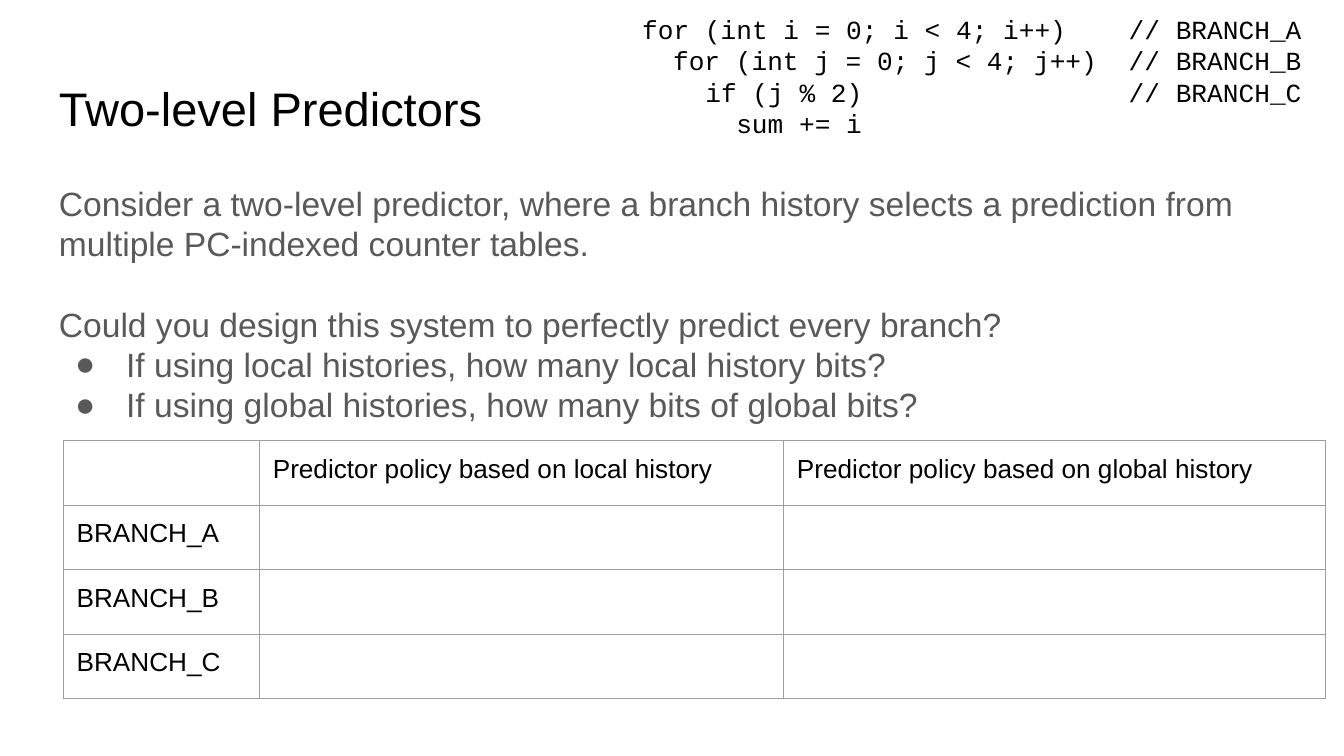
"""Build the two-level predictors slide."""
from dataclasses import dataclass

from lxml.etree import SubElement
from pptx import Presentation
from pptx.dml.color import RGBColor as RGB
from pptx.enum.text import MSO_ANCHOR as Anchor
from pptx.oxml.ns import qn
from pptx.util import Inches, Pt


@dataclass(frozen=True)
class Theme:
    sans: str = "Arial"
    mono: str = "Courier New"
    black: str = "000000"
    grey: str = "595959"
    border: str = "9E9E9E"
    title: float = 25.2
    body: float = 18
    small: float = 14
    body_line: float = 21.6
    code_line: float = 16.8
    border_width: float = 0.75
    inset: float = 0.1


@dataclass(frozen=True)
class Style:
    font: str
    size: float
    color: str
    line: float | None = None


@dataclass(frozen=True)
class Para:
    text: str
    bullet: bool = False
    before: float = 0
    tabs: tuple[float, ...] = ()


T = Theme()
TITLE = Style(T.sans, T.title, T.black)
BODY = Style(T.sans, T.body, T.grey, T.body_line)
CODE = Style(T.mono, T.small, T.black, T.code_line)
CELL = Style(T.sans, T.small, T.black)

CODE_TABS = (0.23, 0.47, 0.7, 3.62)
CODE_LINES = (
    "for (int i = 0; i < 4; i++)\t// BRANCH_A",
    "\tfor (int j = 0; j < 4; j++)\t// BRANCH_B",
    "\t\tif (j % 2)\t// BRANCH_C",
    "\t\t\tsum += i",
)
BODY_PARAS = (
    Para("Consider a two-level predictor, where a branch history selects a "
         "prediction from multiple PC-indexed counter tables."),
    Para("Could you design this system to perfectly predict every branch?",
         before=T.body_line),
    Para("If using local histories, how many local history bits?", bullet=True),
    Para("If using global histories, how many bits of global bits?", bullet=True),
)
HEADERS = ("", *(f"Predictor policy based on {scope} history"
                 for scope in ("local", "global")))
ROWS = (HEADERS, *((f"BRANCH_{letter}", "", "") for letter in "ABC"))
COL_WIDTHS = (1.46, 3.9, 4.03)
ROW_HEIGHT = 0.48


def add_run(p, text: str, style: Style) -> None:
    r = p.add_run()
    r.text = text
    r.font.name = style.font
    r.font.size = Pt(style.size)
    r.font.color.rgb = RGB.from_string(style.color)


def add_bullet(p, style: Style) -> None:
    pPr = p._p.get_or_add_pPr()
    pPr.set("marL", str(Inches(0.5)))
    pPr.set("indent", str(Inches(-0.38)))
    SubElement(SubElement(pPr, qn("a:buClr")), qn("a:srgbClr"), val=style.color)
    SubElement(pPr, qn("a:buFont"), typeface=style.font)
    SubElement(pPr, qn("a:buChar"), char="●")


def add_tabs(p, stops: tuple[float, ...]) -> None:
    tabs = SubElement(p._p.get_or_add_pPr(), qn("a:tabLst"))
    for stop in stops:
        SubElement(tabs, qn("a:tab"), pos=str(Inches(stop)), algn="l")


def set_margins(target) -> None:
    target.margin_left = target.margin_right = Inches(T.inset)
    target.margin_top = target.margin_bottom = Inches(T.inset)


def add_text(s, box: tuple[float, ...], paras: tuple[Para, ...], style: Style,
             anchor=Anchor.TOP) -> None:
    tf = s.shapes.add_textbox(*map(Inches, box)).text_frame
    tf.word_wrap = True
    tf.vertical_anchor = anchor
    set_margins(tf)
    for i, para in enumerate(paras):
        p = tf.add_paragraph() if i else tf.paragraphs[0]
        p.space_before = Pt(para.before)
        if style.line:
            p.line_spacing = Pt(style.line)
        if para.bullet:
            add_bullet(p, style)
        if para.tabs:
            add_tabs(p, para.tabs)
        add_run(p, para.text, style)


def style_cell(cell) -> None:
    tcPr = cell._tc.get_or_add_tcPr()
    for side in ("lnL", "lnR", "lnT", "lnB"):
        ln = SubElement(tcPr, qn(f"a:{side}"), w=str(Pt(T.border_width)))
        SubElement(SubElement(ln, qn("a:solidFill")), qn("a:srgbClr"), val=T.border)
    cell.fill.background()


def add_policy_table(s, left: float, top: float) -> None:
    table = s.shapes.add_table(
        len(ROWS), len(COL_WIDTHS), Inches(left), Inches(top),
        Inches(sum(COL_WIDTHS)), Inches(ROW_HEIGHT * len(ROWS))).table
    table.first_row = table.horz_banding = False
    for col, width in zip(table.columns, COL_WIDTHS):
        col.width = Inches(width)
    for row, texts in zip(table.rows, ROWS):
        row.height = Inches(ROW_HEIGHT)
        for cell, text in zip(row.cells, texts):
            style_cell(cell)
            if text:
                set_margins(cell)
                add_run(cell.text_frame.paragraphs[0], text, CELL)


def main() -> None:
    prs = Presentation()
    prs.slide_width = Inches(10)
    prs.slide_height = prs.slide_width * 9 // 16
    s = prs.slides.add_slide(prs.slide_layouts[6])
    add_text(s, (0.34, 0.49, 9.32, 0.63), (Para("Two-level Predictors"),),
             TITLE, Anchor.MIDDLE)
    add_text(s, (0.34, 1.26, 9.12, 2.17), BODY_PARAS, BODY)
    add_policy_table(s, 0.47, 3.28)
    add_text(s, (4.68, 0, 5.18, 1.38),
             tuple(Para(line, tabs=CODE_TABS) for line in CODE_LINES), CODE)
    prs.save("out.pptx")


if __name__ == "__main__":
    main()
